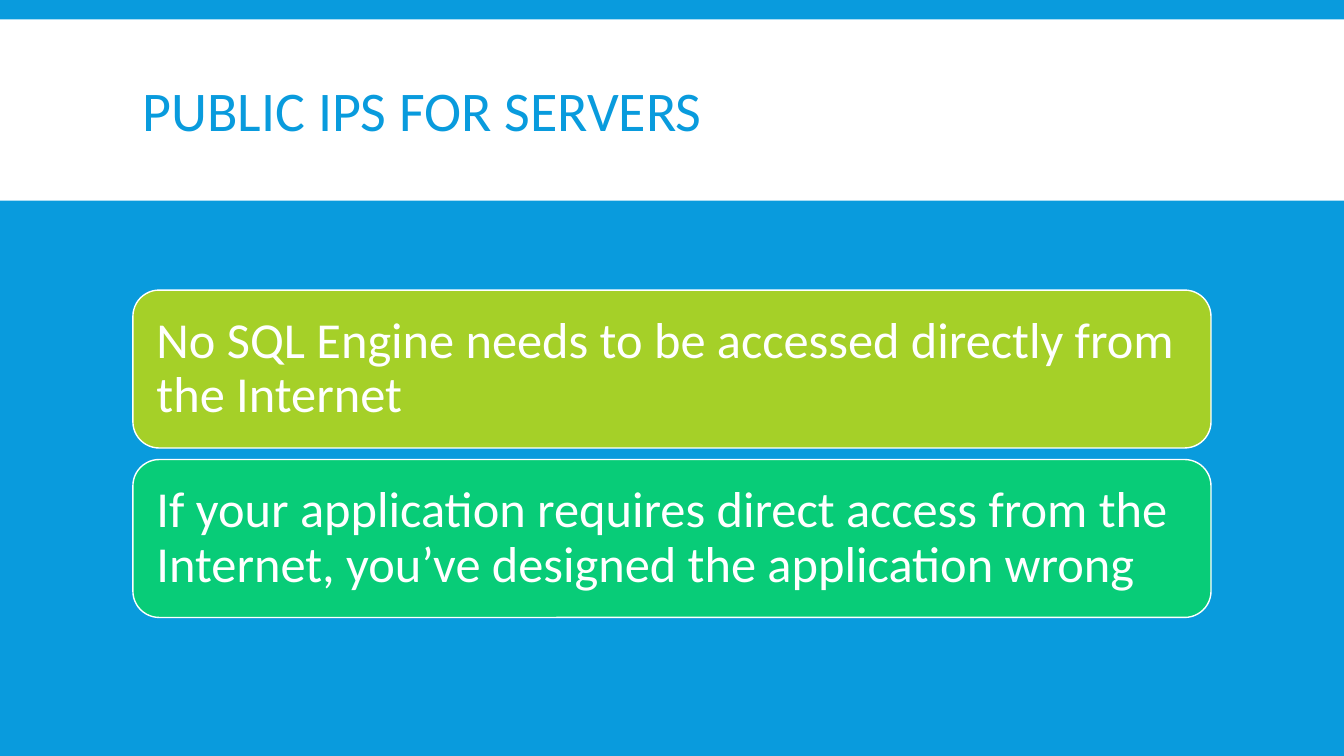
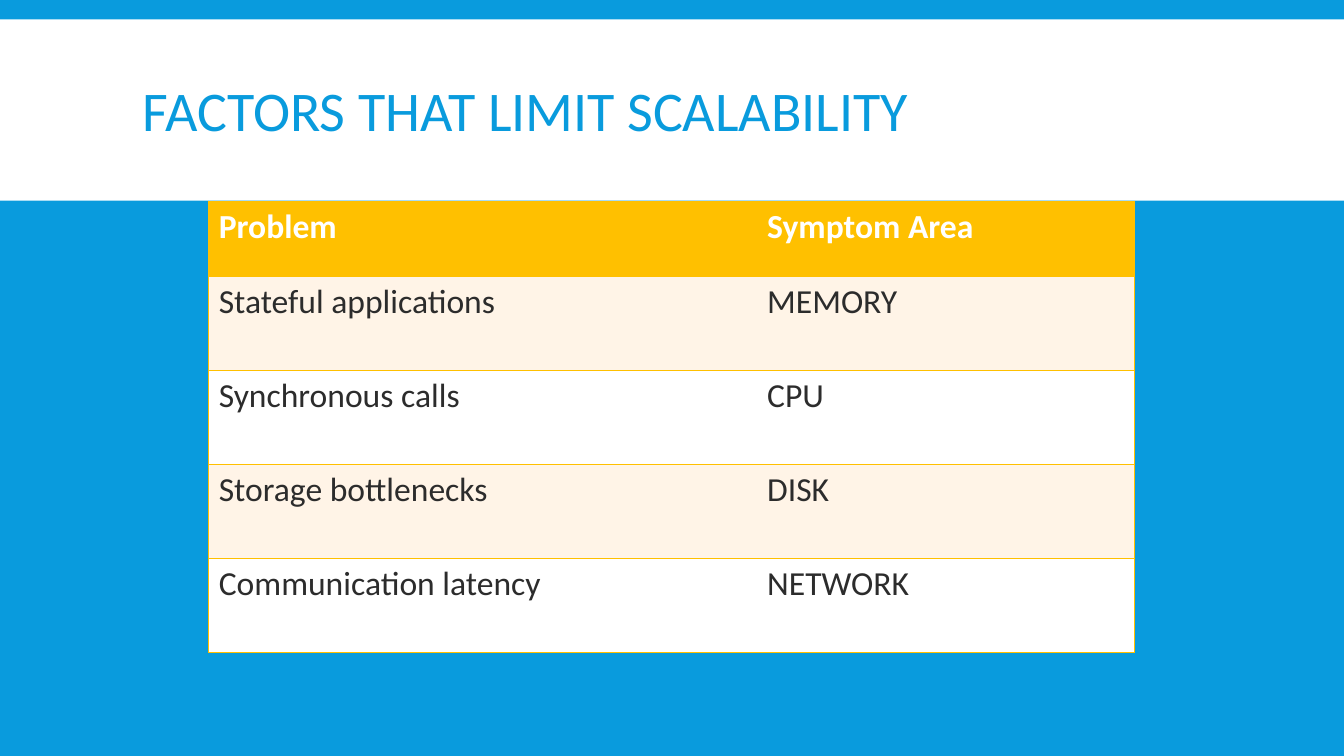
from lxml import etree
from pptx import Presentation
from pptx import util as u
from pptx.dml.color import RGBColor
from pptx.enum import shapes, text
from pptx.oxml.ns import qn

BLUE = RGBColor(0x09, 0x9B, 0xDD)
WHITE = RGBColor(0xFF, 0xFF, 0xFF)
LIME = RGBColor(0xA5, 0xD0, 0x28)
GREEN = RGBColor(0x08, 0xCC, 0x78)
GOLD = RGBColor(0xFF, 0xC0, 0x00)
CREAM = RGBColor(0xFF, 0xF4, 0xE7)
DARK = RGBColor(0x2C, 0x2C, 0x2C)
FONT = "Calibri"
LEFT, WIDTH = u.Cm(3.35), u.Cm(27.17)
NO_STYLE = "{2D5ABB26-0587-4C30-8999-92F81FD0307C}"


def write(tf, words, size, color, spacing=1.0, bold=False):
    tf.word_wrap = True
    p = tf.paragraphs[0]
    p.alignment = text.PP_ALIGN.LEFT
    p.line_spacing = spacing
    r = p.add_run()
    r.text = words
    r.font.name = FONT
    r.font.size = u.Pt(size)
    r.font.bold = bold
    r.font.color.rgb = color


def add_titled_slide(prs, title):
    s = prs.slides.add_slide(prs.slide_layouts[6])
    band = s.shapes.add_shape(shapes.MSO_SHAPE.RECTANGLE, 0, u.Cm(0.49), prs.slide_width, u.Cm(4.57))
    band.shadow.inherit = False
    band.fill.solid()
    band.fill.fore_color.rgb = WHITE
    band.line.fill.background()
    tf = s.shapes.add_textbox(LEFT, u.Cm(0.79), WIDTH, u.Cm(4.19)).text_frame
    tf.vertical_anchor = text.MSO_ANCHOR.MIDDLE
    write(tf, title, 40, BLUE, 0.85)
    return s


prs = Presentation()
prs.slide_width, prs.slide_height = u.Cm(33.87), u.Cm(19.05)
background = prs.slide_master.background.fill
background.solid()
background.fore_color.rgb = BLUE

s = add_titled_slide(prs, "PUBLIC IPS FOR SERVERS")
statements = [
    ("No SQL Engine needs to be accessed directly from the Internet", LIME),
    ("If your application requires direct access from the Internet, you’ve designed the application wrong", GREEN),
]
for i, (words, color) in enumerate(statements):
    sp = s.shapes.add_shape(shapes.MSO_SHAPE.ROUNDED_RECTANGLE, LEFT, u.Cm(7.31 + 4.27 * i), WIDTH, u.Cm(3.98))
    sp.shadow.inherit = False
    sp.fill.solid()
    sp.fill.fore_color.rgb = color
    sp.line.color.rgb = WHITE
    sp.line.width = u.Pt(1)
    tf = sp.text_frame
    tf.vertical_anchor = text.MSO_ANCHOR.MIDDLE
    tf.margin_left = tf.margin_right = u.Cm(0.4)
    write(tf, words, 36, WHITE, 0.9)

s = add_titled_slide(prs, "FACTORS THAT LIMIT SCALABILITY")
rows = [
    ("Problem", "Symptom Area"),
    ("Stateful applications", "MEMORY"),
    ("Synchronous calls", "CPU"),
    ("Storage bottlenecks", "DISK"),
    ("Communication latency", "NETWORK"),
]
table = s.shapes.add_table(len(rows), 2, u.Cm(5.26), u.Cm(5.07), u.Cm(23.33), u.Cm(11.37)).table
table._tbl.tblPr.find(qn("a:tableStyleId")).text = NO_STYLE
for column, width in zip(table.columns, (13.82, 9.51)):
    column.width = u.Cm(width)
for i, row in enumerate(rows):
    header = i == 0
    table.rows[i].height = u.Cm(1.89 if header else 2.37)
    for j, words in enumerate(row):
        cell = table.cell(i, j)
        tcPr = cell._tc.get_or_add_tcPr()
        for edge in ("lnR" if j else "lnL", "lnT", "lnB"):
            ln = etree.SubElement(tcPr, qn("a:" + edge), w=str(u.Pt(1)))
            fill = etree.SubElement(ln, qn("a:solidFill"))
            etree.SubElement(fill, qn("a:srgbClr"), val=str(GOLD))
        cell.fill.solid()
        cell.fill.fore_color.rgb = GOLD if header else CREAM if i % 2 else WHITE
        write(cell.text_frame, words, 24, WHITE if header else DARK, bold=header)

prs.save("out.pptx")
